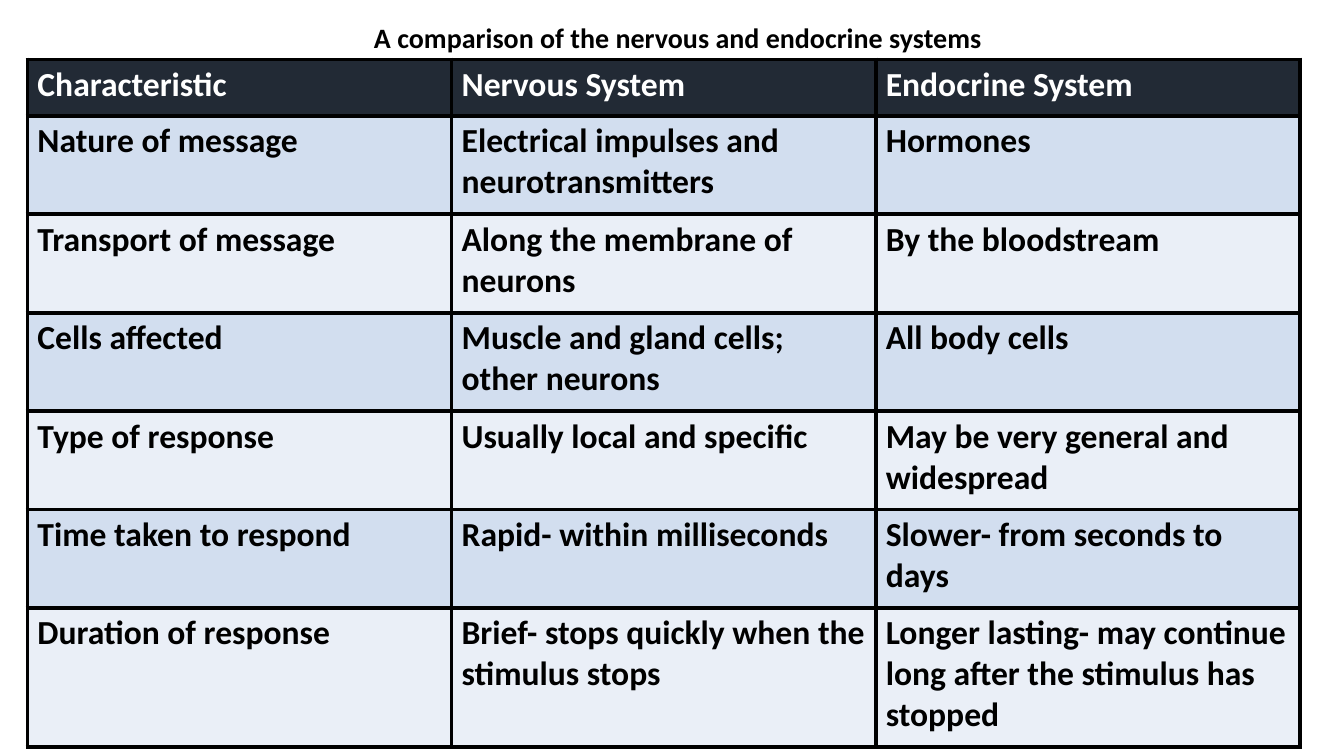
from dataclasses import dataclass

from lxml import etree
from pptx import Presentation
from pptx.dml.color import RGBColor
from pptx.enum import text as t
from pptx.oxml import ns
from pptx.util import Cm, Pt


@dataclass(frozen=True)
class Theme:
    font: str = "Calibri"
    title_size: int = 20
    cell_size: int = 24
    border_width: int = 3
    ink: str = "000000"
    header_ink: str = "FFFFFF"
    header_fill: str = "222A35"
    bands: tuple = ("D2DEEF", "EAEFF7")


theme = Theme()


def write(p, words, size, color):
    """Add one bold run to a paragraph."""
    r = p.add_run()
    r.text = words
    r.font.name = theme.font
    r.font.size = Pt(size)
    r.font.bold = True
    r.font.color.rgb = RGBColor.from_string(color)


def add_borders(cell):
    """Draw a solid line on all four sides of a cell."""
    tcPr = cell._tc.get_or_add_tcPr()
    for i, side in enumerate(("lnL", "lnR", "lnT", "lnB")):
        ln = etree.Element(ns.qn(f"a:{side}"), w=str(Pt(theme.border_width)))
        fill = etree.SubElement(ln, ns.qn("a:solidFill"))
        etree.SubElement(fill, ns.qn("a:srgbClr"), val=theme.ink)
        tcPr.insert(i, ln)


# Slide
prs = Presentation()
prs.slide_width, prs.slide_height = Cm(33.87), Cm(19.05)
s = prs.slides.add_slide(prs.slide_layouts[5])

# Title
title = s.shapes.title
title.left, title.top, title.width, title.height = Cm(0.97), Cm(0.38), Cm(32.23), Cm(1.12)
tf = title.text_frame
tf.word_wrap = True
tf.auto_size = t.MSO_AUTO_SIZE.NONE
tf.vertical_anchor = t.MSO_ANCHOR.TOP
p = tf.paragraphs[0]
p.alignment = t.PP_ALIGN.CENTER
write(p, "A comparison of the nervous and endocrine systems", theme.title_size, theme.ink)

# Comparison table
rows = [
    ("Characteristic", "Nervous System", "Endocrine System"),
    ("Nature of message", "Electrical impulses and neurotransmitters", "Hormones"),
    ("Transport of message", "Along the membrane of neurons", "By the bloodstream"),
    ("Cells affected", "Muscle and gland cells; other neurons", "All body cells"),
    ("Type of response", "Usually local and specific", "May be very general and widespread"),
    ("Time taken to respond", "Rapid- within milliseconds", "Slower- from seconds to days"),
    ("Duration of response", "Brief- stops quickly when the stimulus stops",
     "Longer lasting- may continue long after the stimulus has stopped"),
]
row_heights = [1.42] + [2.48] * 5 + [3.5]
table = s.shapes.add_table(len(rows), 3, Cm(0.69), Cm(1.5),
                           Cm(32.07), Cm(sum(row_heights))).table
for column in table.columns:
    column.width = Cm(10.69)

for i, (row, height) in enumerate(zip(rows, row_heights)):
    table.rows[i].height = Cm(height)
    fill = theme.bands[(i - 1) % 2] if i else theme.header_fill
    color = theme.ink if i else theme.header_ink
    for j, words in enumerate(row):
        cell = table.cell(i, j)
        cell.fill.solid()
        cell.fill.fore_color.rgb = RGBColor.from_string(fill)
        add_borders(cell)
        write(cell.text_frame.paragraphs[0], words, theme.cell_size, color)

prs.save("out.pptx")
